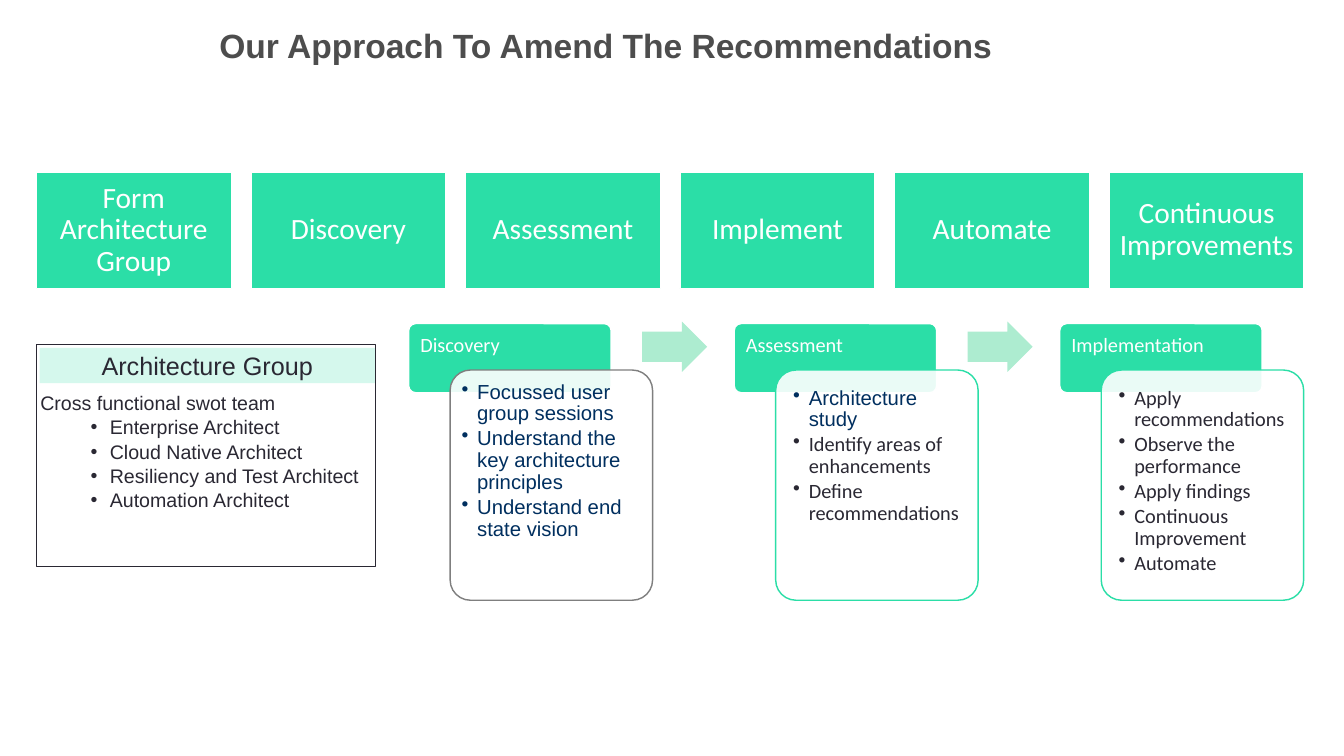
import pptx
import pptx.util
import pptx.dml.color
import pptx.enum.shapes
import pptx.enum.text
import pptx.oxml.ns
from lxml import etree

RGB = pptx.dml.color.RGBColor
SHAPE = pptx.enum.shapes.MSO_SHAPE
ALIGN = pptx.enum.text.PP_ALIGN
ANCHOR = pptx.enum.text.MSO_ANCHOR
Inches, Pt = pptx.util.Inches, pptx.util.Pt

GREEN = RGB(0x2B, 0xDE, 0xA7)
MINT = RGB(0xD5, 0xF8, 0xED)
ARROW_GREEN = RGB(0xAD, 0xEC, 0xD0)
WHITE = RGB(0xFF, 0xFF, 0xFF)
INK = RGB(0x2A, 0x28, 0x33)
NAVY = RGB(0x00, 0x2F, 0x5F)
GREY = RGB(0x7F, 0x7F, 0x7F)
TITLE_GREY = RGB(0x4D, 0x4D, 0x4D)

PLAIN = {"name": "Calibri", "color": INK}
ACCENT = {"name": "Arial", "color": NAVY}

PHASES = ["Form Architecture Group", "Discovery", "Assessment",
          "Implement", "Automate", "Continuous Improvements"]
TEAM = ["Enterprise Architect", "Cloud Native Architect",
        "Resiliency and Test Architect", "Automation Architect"]
# name, card outline, card inset, list items
STAGES = [
    ("Discovery", GREY, 0.11, [
        ("Focussed user group sessions", ACCENT),
        ("Understand the key architecture principles", ACCENT),
        ("Understand end state vision", ACCENT)]),
    ("Assessment", GREEN, 0.23, [
        ("Architecture study", ACCENT),
        ("Identify areas of enhancements", PLAIN),
        ("Define recommendations", PLAIN)]),
    ("Implementation", GREEN, 0.23, [
        ("Apply recommendations", PLAIN),
        ("Observe the performance", PLAIN),
        ("Apply findings", PLAIN),
        ("Continuous Improvement", PLAIN),
        ("Automate", PLAIN)]),
]


def place(sp, box):
    sp.left, sp.top, sp.width, sp.height = (Inches(v) for v in box)


def add_box(s, kind, box, fill, line=None, width=2, adj=()):
    sp = s.shapes.add_shape(kind, *(Inches(v) for v in box))
    sp.shadow.inherit = False
    sp.fill.solid()
    sp.fill.fore_color.rgb = fill
    if line is None:
        sp.line.fill.background()
    else:
        sp.line.color.rgb = line
        sp.line.width = Pt(width)
    for i, value in enumerate(adj):
        sp.adjustments[i] = value
    return sp


def set_frame(sp, anchor, x=0.1, y=0.05):
    """Prepare the text frame with side insets x and top and bottom insets y."""
    tf = sp.text_frame
    formats = {"word_wrap": True, "vertical_anchor": anchor,
               "auto_size": pptx.enum.text.MSO_AUTO_SIZE.NONE,
               "margin_left": Inches(x), "margin_right": Inches(x),
               "margin_top": Inches(y), "margin_bottom": Inches(y)}
    for key, value in formats.items():
        setattr(tf, key, value)
    return tf


def write(p, text, size, name, color, bold=False, **formats):
    formats = {"alignment": ALIGN.LEFT, "space_before": Pt(0), **formats}
    for key, value in formats.items():
        setattr(p, key, value)
    r = p.add_run()
    r.text = text
    for key, value in {"size": Pt(size), "name": name, "bold": bold}.items():
        setattr(r.font, key, value)
    r.font.color.rgb = color


def set_bullet(p, indent=0, hang=0, char=None):
    pPr = p._p.get_or_add_pPr()
    pPr.set("marL", str(Inches(indent)))
    pPr.set("indent", str(-Inches(hang)))
    tag = "a:buChar" if char else "a:buNone"
    bullet = etree.SubElement(pPr, pptx.oxml.ns.qn(tag))
    if char:
        bullet.set("char", char)


def next_paragraph(tf, i):
    return tf.add_paragraph() if i else tf.paragraphs[0]


def add_title(s, box):
    place(s.shapes.title, box)
    tf = set_frame(s.shapes.title, ANCHOR.TOP, y=0.1)
    write(tf.paragraphs[0], "Our Approach To Amend The Recommendations", 48,
          "Arial", TITLE_GREY, bold=True, alignment=ALIGN.CENTER)


def add_phases(s, box):
    """Row of equal tiles whose gaps are a tenth of a tile."""
    x, y, w, h = box
    n = len(PHASES)
    tile = w / (n + 0.1 * (n - 1))
    for i, phase in enumerate(PHASES):
        sp = add_box(s, SHAPE.RECTANGLE, (x + 1.1 * tile * i, y, tile, h), GREEN, WHITE)
        tf = set_frame(sp, ANCHOR.MIDDLE, 0.17, 0.17)
        write(tf.paragraphs[0], phase, 42, "Calibri", WHITE,
              alignment=ALIGN.CENTER, line_spacing=0.9)


def add_team(s, box):
    x, y, w, h = box
    panel = add_box(s, SHAPE.RECTANGLE, box, WHITE, INK, 0.75)
    s.shapes._spTree.insert(2, panel._element)  # behind the list

    header = add_box(s, SHAPE.RECTANGLE,
                     (x + 0.01 * w, y + 0.016 * h, 0.99 * w, 0.16 * h), MINT)
    tf = set_frame(header, ANCHOR.MIDDLE)
    write(tf.paragraphs[0], "Architecture Group", 36, "Arial", INK,
          alignment=ALIGN.CENTER)

    body = s.placeholders[1]
    place(body, (x - 0.02, y + 0.2 * h, 1.11 * w, 0.8 * h))
    tf = set_frame(body, ANCHOR.TOP)
    p = tf.paragraphs[0]
    write(p, "Cross functional swot team", 28, "Arial", INK)
    set_bullet(p)
    for role in TEAM:
        p = tf.add_paragraph()
        write(p, role, 28, "Arial", INK, level=1, space_before=Pt(1))
        set_bullet(p, 1.38, 0.38, "•")


def add_stage(s, box, name, outline, inset, items):
    """Header tab with a translucent card overlapping its lower right."""
    x, y, w, h = box
    tab = add_box(s, SHAPE.ROUNDED_RECTANGLE, (x, y, 0.83 * w, 0.25 * h),
                  GREEN, WHITE, adj=[0.1])
    tf = set_frame(tab, ANCHOR.TOP, 0.19, 0.19)
    write(tf.paragraphs[0], name, 29, "Calibri", WHITE, line_spacing=0.9)

    card = add_box(s, SHAPE.ROUNDED_RECTANGLE,
                   (x + 0.17 * w, y + 0.168 * h, 0.83 * w, 0.832 * h),
                   WHITE, outline, adj=[0.1])
    color = card._element.spPr.find(".//" + pptx.oxml.ns.qn("a:srgbClr"))
    etree.SubElement(color, pptx.oxml.ns.qn("a:alpha")).set("val", "90000")
    tf = set_frame(card, ANCHOR.TOP, inset, inset)
    for i, (text, style) in enumerate(items):
        p = next_paragraph(tf, i)
        write(p, text, 29, **style, level=1, line_spacing=0.9, space_after=Pt(4.3))
        set_bullet(p, 0.31, 0.31, "•")


def add_stages(s, box):
    """Stages on an even pitch, with an arrow from each to the next."""
    x, y, w, h = box
    stage = 4.84
    pitch = (w - stage) / (len(STAGES) - 1)
    for i, content in enumerate(STAGES):
        left = x + i * pitch
        if i:
            add_box(s, SHAPE.RIGHT_ARROW, (left - 1.83, y - 0.04, 1.29, 1),
                    ARROW_GREEN, adj=[0.6, 0.5])
        add_stage(s, (left, y, stage, h), *content)


def main():
    prs = pptx.Presentation()
    prs.slide_width, prs.slide_height = Inches(26.67), Inches(15)
    s = prs.slides.add_slide(prs.slide_layouts[1])
    add_title(s, (0.26, 0.4, 23.53, 1.34))
    add_phases(s, (0.72, 3.41, 25.16, 2.32))
    add_team(s, (0.72, 6.83, 6.72, 4.4))
    add_stages(s, (8.11, 6.42, 17.76, 5.49))
    prs.save("out.pptx")


if __name__ == "__main__":
    main()
